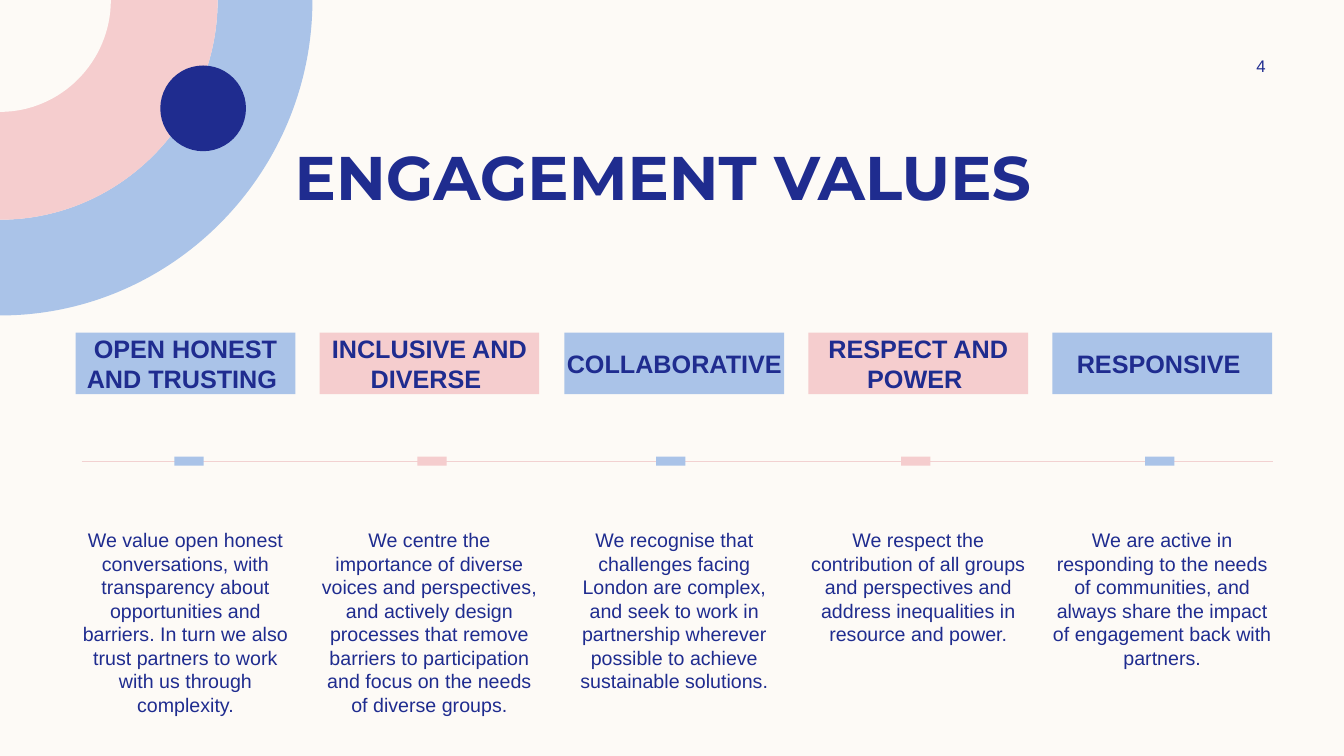
from lxml.etree import SubElement
from pptx import Presentation
from pptx.dml.color import RGBColor
from pptx.enum.shapes import MSO_CONNECTOR as Connector, MSO_SHAPE as Shape
from pptx.enum.text import MSO_ANCHOR as Anchor, MSO_AUTO_SIZE as AutoSize, PP_ALIGN as Align
from pptx.oxml.ns import qn
from pptx.util import Emu, Pt

PX = 9144  # 100 px to the inch
SLIDE_SIZE = Emu(12192000), Emu(6858000)
CREAM, BLUE, PINK, NAVY, LINE = "FDFAF6", "AAC3E8", "F5CDCE", "1F2C8F", "F2D1D1"
COLUMN_LEFT, COLUMN_PITCH, COLUMN_WIDTH = 75, 242.3, 218
CURVE = 0.55  # control length of a quarter ellipse

# Heading, left edge of the marker, description
VALUES = [
    ("OPEN HONEST AND TRUSTING ", 173,
     "We value open honest conversations, with transparency about opportunities and "
     "barriers. In turn we also trust partners to work with us through complexity."),
    ("INCLUSIVE AND DIVERSE ", 414,
     "We centre the importance of diverse voices and perspectives, and actively design "
     "processes that remove barriers to participation and focus on the needs of diverse groups."),
    ("COLLABORATIVE ", 651,
     "We recognise that challenges facing London are complex, and seek to work in "
     "partnership wherever possible to achieve sustainable solutions."),
    ("RESPECT AND POWER ", 894,
     "We respect the contribution of all groups and perspectives and address "
     "inequalities in resource and power."),
    ("RESPONSIVE ", 1136,
     "We are active in responding to the needs of communities, and always share the "
     "impact of engagement back with partners."),
]


def px(*lengths):
    return [Emu(round(length * PX)) for length in lengths]


def color(hex_string):
    return RGBColor.from_string(hex_string)


def paint(shape, fill):
    shape.shadow.inherit = False
    shape.fill.solid()
    shape.fill.fore_color.rgb = color(fill)
    shape.line.fill.background()


def write(shape, text, size, font="Arial", bold=False, anchor=Anchor.TOP, margins=(10, 5)):
    frame = shape.text_frame
    frame.word_wrap = True
    frame.auto_size = AutoSize.NONE
    frame.vertical_anchor = anchor
    frame.margin_left = frame.margin_right = px(margins[0])[0]
    frame.margin_top = frame.margin_bottom = px(margins[1])[0]
    paragraph = frame.paragraphs[0]
    paragraph.alignment = Align.CENTER
    paragraph.line_spacing = 1.0
    run = paragraph.add_run()
    run.text = text
    run.font.size = Pt(size)
    run.font.name = font
    run.font.bold = bold
    run.font.color.rgb = color(NAVY)


def add_block(slide, kind, box, fill):
    shape = slide.shapes.add_shape(kind, *px(*box))
    paint(shape, fill)
    return shape


def add_text(slide, box, text, size, **style):
    write(slide.shapes.add_textbox(*px(*box)), text, size, **style)


def bend(segment, controls):
    """Turn a straight path segment into a curve with two control points."""
    segment.tag = qn("a:cubicBezTo")
    for index, point in enumerate(controls):
        x, y = px(*point)
        control = segment.makeelement(qn("a:pt"), {"x": str(x), "y": str(y)})
        segment.insert(index, control)


def arc_controls(width, height):
    return [(width, height * CURVE), (width * CURVE, height)]


def add_quarter(slide, outer, fill, inner=None):
    """Quarter disc at the slide corner, or a quarter ring if inner is given."""
    points = [(outer[0], 0), (0, outer[1])]
    points += [(0, inner[1]), (inner[0], 0)] if inner else [(0, 0)]
    builder = slide.shapes.build_freeform(*px(*points[0]))
    builder.add_line_segments([px(*point) for point in points[1:]], close=True)
    shape = builder.convert_to_shape()
    segments = list(shape._element.iter(qn("a:lnTo")))
    bend(segments[0], arc_controls(*outer))
    if inner:
        bend(segments[2], arc_controls(*inner)[::-1])
    paint(shape, fill)


def add_line(slide, ends, stroke):
    line = slide.shapes.add_connector(Connector.STRAIGHT, *px(*ends))
    line.line.color.rgb = color(stroke)
    line.line.width = Pt(1)
    SubElement(line._element.spPr, qn("a:effectLst"))


def add_value(slide, index, heading, marker_left, description):
    left = round(COLUMN_LEFT + COLUMN_PITCH * index)
    fill = PINK if index % 2 else BLUE
    label = add_block(slide, Shape.RECTANGLE, (left, 330, COLUMN_WIDTH, 61), fill)
    write(label, heading, 18, bold=True, anchor=Anchor.MIDDLE, margins=(0, 0))
    add_block(slide, Shape.RECTANGLE, (marker_left, 453, 29, 9), fill)
    add_text(slide, (left, 519, COLUMN_WIDTH, 87), description, 14, margins=(0, 5))


def main():
    presentation = Presentation()
    presentation.slide_width, presentation.slide_height = SLIDE_SIZE
    slide = presentation.slides.add_slide(presentation.slide_layouts[5])
    slide.background.fill.solid()
    slide.background.fill.fore_color.rgb = color(CREAM)

    # Corner decoration
    add_quarter(slide, (310, 313), BLUE, inner=(216, 218))
    add_quarter(slide, (216, 218), PINK)
    add_quarter(slide, (110, 111), CREAM)
    add_block(slide, Shape.OVAL, (159, 65, 85, 85), NAVY)

    # Title and page number
    title = slide.shapes.title
    title.left, title.top, title.width, title.height = px(83, 133, 1167, 84)
    write(title, "ENGAGEMENT VALUES ", 44, font="Montserrat", bold=True)
    add_text(slide, (1197, 50, 108, 30), "4", 12, anchor=Anchor.MIDDLE)

    # Timeline of values
    add_line(slide, (81, 458, 1263, 458), LINE)
    for index, value in enumerate(VALUES):
        add_value(slide, index, *value)

    presentation.save("out.pptx")


if __name__ == "__main__":
    main()
